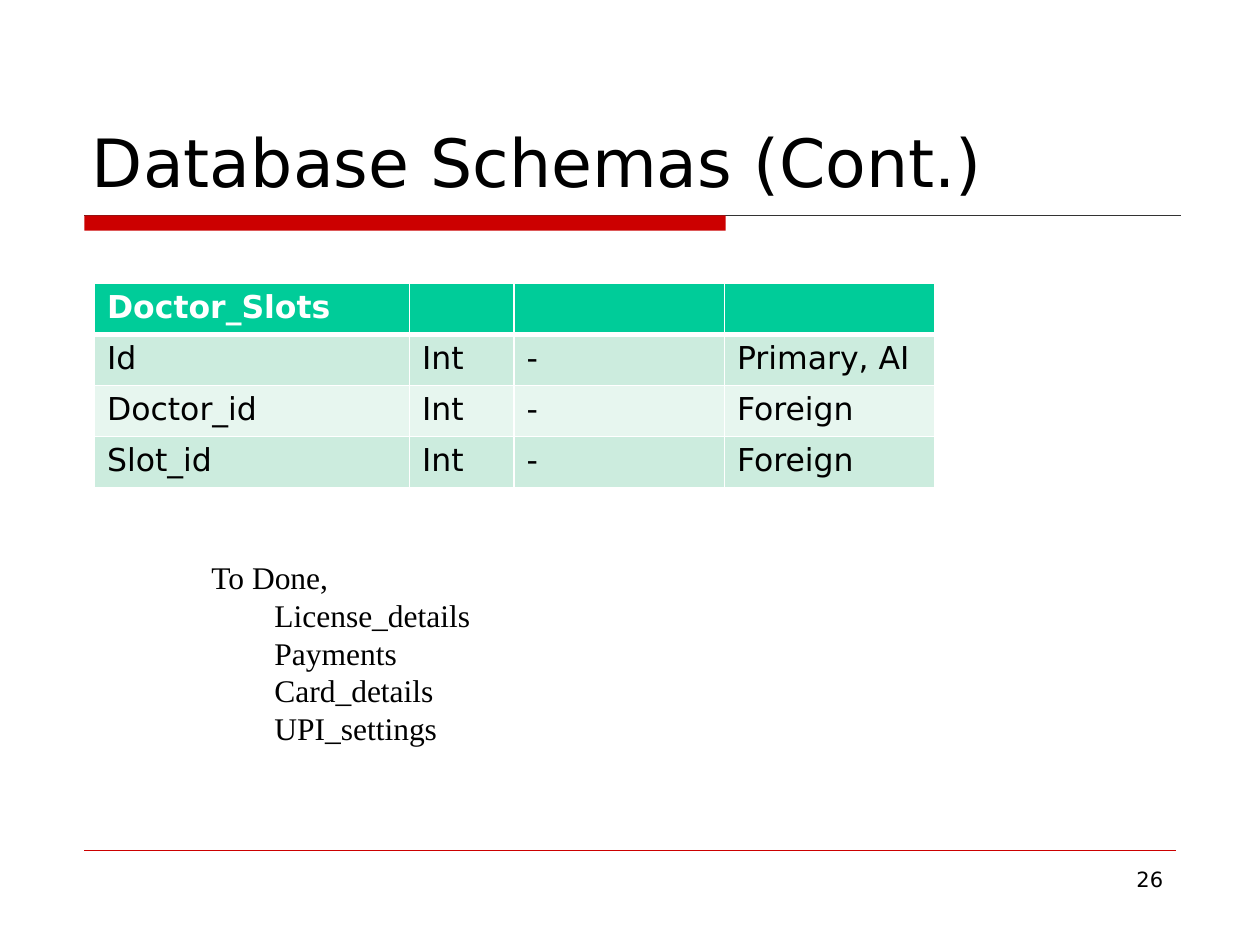
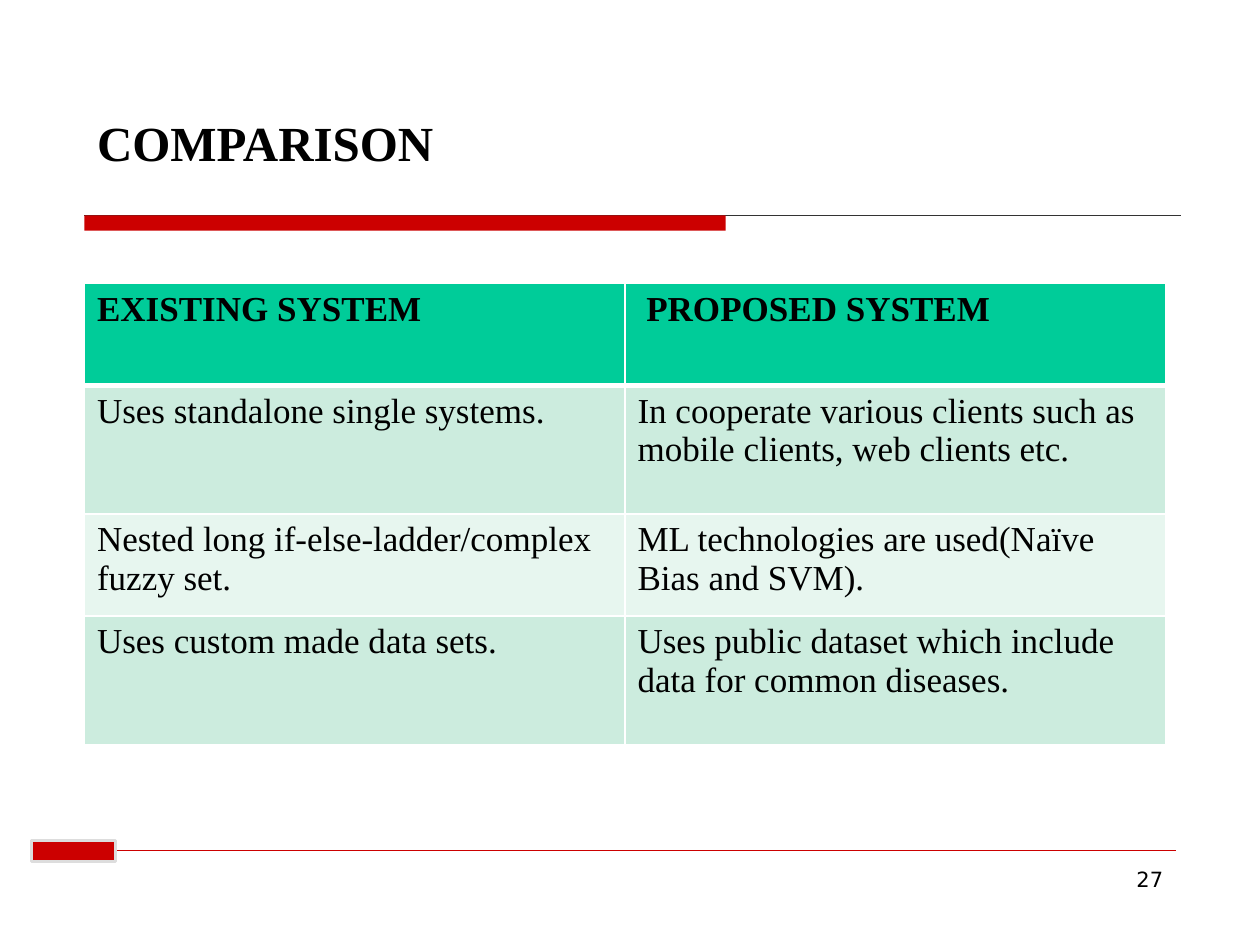
from dataclasses import dataclass

from lxml import etree
from pptx import Presentation
from pptx.dml.color import RGBColor
from pptx.enum.shapes import MSO_CONNECTOR, MSO_SHAPE
from pptx.enum.text import MSO_ANCHOR, MSO_AUTO_SIZE, PP_ALIGN
from pptx.oxml.ns import qn
from pptx.presentation import Presentation as Deck
from pptx.slide import Slide
from pptx.util import Inches, Pt

LINE = MSO_CONNECTOR.STRAIGHT
RECTANGLE = MSO_SHAPE.RECTANGLE
BOTTOM = MSO_ANCHOR.BOTTOM
NO_FIT = MSO_AUTO_SIZE.NONE
LEFT, RIGHT = PP_ALIGN.LEFT, PP_ALIGN.RIGHT
TITLE_ONLY = 5


@dataclass(frozen=True)
class Theme:
    accent: str = "CC0000"
    rule: str = "333333"
    frame: str = "DDDDDD"
    text: str = "000000"
    paper: str = "FFFFFF"
    header: str = "00CC99"
    bands: tuple[str, str] = ("CCECDE", "E7F6EF")
    sans: str = "DejaVu Sans"
    serif: str = "Times New Roman"
    number_size: float = 12
    body_size: float = 18
    table_size: float = 20
    heading_size: float = 28
    title_size: float = 38


THEME = Theme()


@dataclass(frozen=True)
class Box:
    left: float
    top: float
    width: float
    height: float

    def lengths(self) -> tuple[int, int, int, int]:
        return (Inches(self.left), Inches(self.top),
                Inches(self.width), Inches(self.height))


@dataclass(frozen=True)
class Style:
    font: str
    size: float
    color: str = THEME.text
    bold: bool = False


@dataclass(frozen=True)
class Grid:
    left: float
    top: float
    columns: tuple[float, ...]
    row_heights: tuple[float, ...]
    rows: tuple[tuple[str, ...], ...]
    header: Style
    body: Style


def format_para(para, style: Style) -> None:
    font = para.font
    font.name, font.size, font.bold = style.font, Pt(style.size), style.bold
    font.color.rgb = RGBColor.from_string(style.color)


def add_rule(page: Slide, start: float, end: float, y: float,
             color: str, weight: float) -> None:
    rule = page.shapes.add_connector(
        LINE, Inches(start), Inches(y), Inches(end), Inches(y))
    rule.line.color.rgb = RGBColor.from_string(color)
    rule.line.width = Pt(weight)
    etree.SubElement(rule._element.spPr, qn("a:effectLst"))


def add_bar(page: Slide, box: Box, outline: str = "") -> None:
    bar = page.shapes.add_shape(RECTANGLE, *box.lengths())
    bar.shadow.inherit = False
    bar.fill.solid()
    bar.fill.fore_color.rgb = RGBColor.from_string(THEME.accent)
    if outline:
        bar.line.color.rgb = RGBColor.from_string(outline)
        bar.line.width = Pt(1.76)
    else:
        bar.line.fill.background()


def add_page(deck: Deck, title: str, box: Box, style: Style, number: int) -> Slide:
    """Add a slide with the shared title band, footer rule and number."""
    page = deck.slides.add_slide(deck.slide_layouts[TITLE_ONLY])
    heading = page.shapes.title
    heading.left, heading.top, heading.width, heading.height = box.lengths()
    frame = heading.text_frame
    frame.text = title
    frame.vertical_anchor, frame.auto_size = BOTTOM, NO_FIT
    para = frame.paragraphs[0]
    para.alignment, para.line_spacing = LEFT, 0.91
    format_para(para, style)

    # Title band and footer rule
    add_rule(page, 0.67, 9.37, 1.71, THEME.rule, 0.74)
    add_bar(page, Box(0.67, 1.71, 5.09, 0.12))
    add_rule(page, 0.67, 9.33, 6.75, THEME.accent, 0.26)

    # Page number
    footer = page.shapes.add_textbox(*Box(7.17, 6.83, 2.16, 0.51).lengths())
    footer.text_frame.word_wrap = True
    para = footer.text_frame.paragraphs[0]
    para.text, para.alignment = str(number), RIGHT
    format_para(para, Style(THEME.sans, THEME.number_size))
    return page


def add_borders(cell, bottom: float) -> None:
    properties = cell._tc.get_or_add_tcPr()
    for side, weight in (("L", 1), ("R", 1), ("T", 1), ("B", bottom)):
        border = etree.SubElement(properties, qn(f"a:ln{side}"), w=str(Pt(weight)))
        fill = etree.SubElement(border, qn("a:solidFill"))
        etree.SubElement(fill, qn("a:srgbClr"), val=THEME.paper)


def add_grid(page: Slide, grid: Grid) -> None:
    box = Box(grid.left, grid.top, sum(grid.columns), sum(grid.row_heights))
    table = page.shapes.add_table(
        len(grid.rows), len(grid.columns), *box.lengths()).table
    table.horz_banding = False
    for column, width in zip(table.columns, grid.columns):
        column.width = Inches(width)
    for index, (row, height) in enumerate(zip(table.rows, grid.row_heights)):
        row.height = Inches(height)
        is_header = index == 0
        color = THEME.header if is_header else THEME.bands[(index - 1) % 2]
        for cell, text in zip(row.cells, grid.rows[index]):
            cell.text = text
            format_para(cell.text_frame.paragraphs[0],
                        grid.header if is_header else grid.body)
            add_borders(cell, 3 if is_header else 1)
            cell.fill.solid()
            cell.fill.fore_color.rgb = RGBColor.from_string(color)


def add_list(page: Slide, box: Box, lead: str, items: tuple[str, ...]) -> None:
    frame = page.shapes.add_textbox(*box.lengths()).text_frame
    frame.word_wrap = True
    frame.text = "\n".join((lead, *items))
    for para in frame.paragraphs:
        format_para(para, Style(THEME.serif, THEME.body_size))
    for para in frame.paragraphs[1:]:
        para.level = 1
        properties = para._p.get_or_add_pPr()
        properties.set("marL", str(Inches(0.5)))
        properties.set("indent", "0")


def build_schemas(deck: Deck) -> None:
    page = add_page(deck, "Database Schemas (Cont.)", Box(0.63, 0.33, 8.74, 1.32),
                    Style(THEME.sans, THEME.title_size), 26)
    add_grid(page, Grid(
        0.75, 2.25, (2.5, 0.83, 1.67, 1.67), (1.62 / 4,) * 4,
        (("Doctor_Slots", "", "", ""),
         ("Id", "Int", "-", "Primary, AI"),
         ("Doctor_id", "Int", "-", "Foreign"),
         ("Slot_id", "Int", "-", "Foreign")),
        Style(THEME.sans, THEME.body_size, THEME.paper, True),
        Style(THEME.sans, THEME.body_size)))
    add_list(page, Box(1.58, 4.38, 6.5, 1.62), "To Done,",
             ("License_details", "Payments", "Card_details", "UPI_settings"))


def build_comparison(deck: Deck) -> None:
    page = add_page(deck, "COMPARISON", Box(0.67, 0.5, 8.92, 0.92),
                    Style(THEME.serif, THEME.heading_size, bold=True), 27)
    add_bar(page, Box(0.25, 6.67, 0.67, 0.17), THEME.frame)
    add_grid(page, Grid(
        0.67, 2.25, (4.29, 4.29), (0.81, 1.02, 0.81, 1.02),
        (("EXISTING SYSTEM", " PROPOSED SYSTEM"),
         ("Uses standalone single systems.",
          "In cooperate various clients such as mobile clients, web clients etc."),
         ("Nested long if-else-ladder/complex fuzzy set.",
          "ML technologies are used(Naïve Bias and SVM)."),
         ("Uses custom made data sets.",
          "Uses public dataset which include data for common diseases.")),
        Style(THEME.serif, THEME.table_size, bold=True),
        Style(THEME.serif, THEME.table_size)))


def main() -> None:
    deck = Presentation()
    deck.slide_width, deck.slide_height = Inches(10), Inches(7.5)
    build_schemas(deck)
    build_comparison(deck)
    deck.save("out.pptx")


main()
